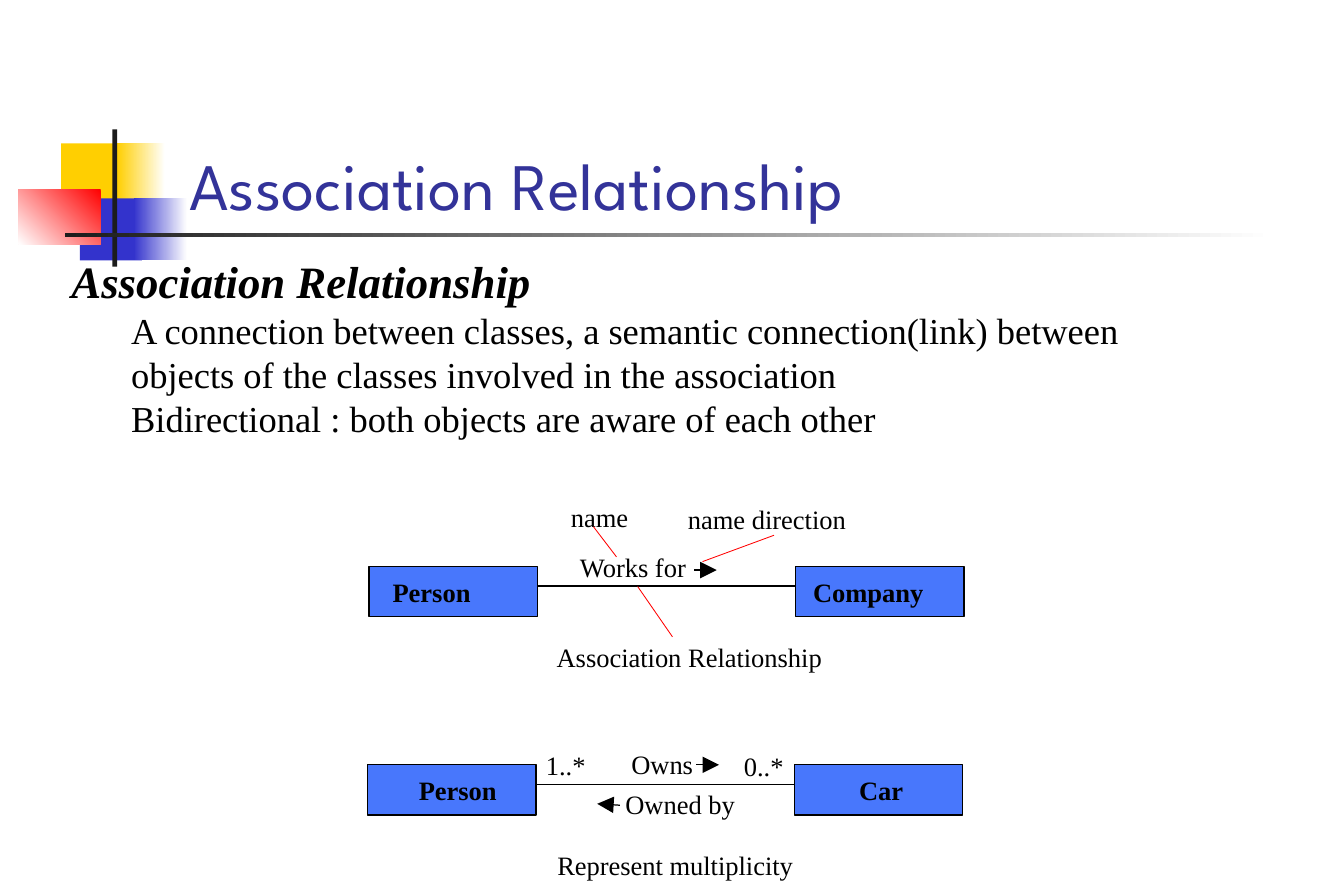
"""Build the association relationship slide with its two class diagrams."""
import pptx
import pptx.dml.color
import pptx.enum.shapes
import pptx.enum.text
import pptx.oxml
import pptx.oxml.ns
import pptx.util
from dataclasses import dataclass

Cm = pptx.util.Cm
Pt = pptx.util.Pt
ALIGN = pptx.enum.text.PP_ALIGN
ANCHOR = pptx.enum.text.MSO_ANCHOR


@dataclass(frozen=True)
class Theme:
    heading_font: str = "League Spartan"
    body_font: str = "Times New Roman"
    title_size: int = 40
    lead_size: int = 27
    body_size: int = 22
    label_size: int = 16
    title: str = "333399"
    ink: str = "000000"
    class_fill: str = "4877FC"
    pointer: str = "FF0000"
    yellow: str = "FFCF01"
    blue: str = "3333CC"
    red: str = "FF0000"
    dark: str = "1C1C1C"
    white: str = "FFFFFF"


THEME = Theme()
TITLE = "Association Relationship"
LEAD = "Association Relationship"
POINTS = [
    "A connection between classes, a semantic connection(link) between "
    "objects of the classes involved in the association",
    "Bidirectional : both objects are aware of each other",
]

# left, top, width, height, gradient or solid colours, angle
DECORATION = [
    (1.3, 3.05, 1.37, 1.32, [THEME.yellow], 0),
    (2.49, 3.05, 1.02, 1.32, [THEME.white, THEME.yellow], 180),
    (1.7, 4.22, 1.32, 1.32, [THEME.blue], 0),
    (2.84, 4.22, 1.14, 1.32, [THEME.white, THEME.blue], 180),
    (0.39, 4.02, 1.75, 1.17, [THEME.red, THEME.white], 225),
    (2.39, 2.75, 0.1, 2.92, [THEME.dark], 0),
    (1.39, 4.95, 25.7, 0.09, [THEME.white, THEME.dark], 180),
]

CLASS_SIZE = (3.58, 1.07)
CLASS_STEP = 9.07
LINK_DROP = 0.42
# left, top, alignment, (name, left inset) of each class
ASSOCIATIONS = [
    (7.85, 12.04, ALIGN.LEFT, [("Person", 0.5), ("Company", 0.37)]),
    (7.82, 16.26, ALIGN.CENTER, [("Person", 0.5), ("Car", 0.37)]),
]

LABEL_HEIGHT = 0.84
# text, centre, top, width, alignment
LABELS = [
    ("Works for", 13.46, 11.63, 3.1, ALIGN.CENTER),
    ("Association Relationship", 14.66, 13.54, 6.4, ALIGN.CENTER),
    ("name", 12.75, 10.57, 2, ALIGN.CENTER),
    ("name direction", 16.31, 10.62, 4.1, ALIGN.CENTER),
    ("Owns", 13.44, 15.82, 3.1, ALIGN.RIGHT),
    ("1..*", 12.03, 15.85, 1.6, ALIGN.CENTER),
    ("0..*", 16.24, 15.87, 1.6, ALIGN.CENTER),
    ("Owned by", 14.33, 16.67, 3.1, ALIGN.RIGHT),
    ("Represent multiplicity", 14.36, 17.96, 5.8, ALIGN.CENTER),
]
POINTERS = [
    (13.56, 12.47, 14.3, 13.54),
    (12.62, 11.2, 13.11, 11.84),
    (14.94, 11.94, 16.46, 11.38),
]
DIRECTIONS = [
    (14.76, 12.12, 15.24, 12.12),
    (14.81, 16.26, 15.29, 16.26),
    (13.18, 17.12, 12.7, 17.09),
]


def rgb(value):
    return pptx.dml.color.RGBColor.from_string(value)


def add_rectangle(page, place, colours, angle=0):
    box = page.shapes.add_shape(
        pptx.enum.shapes.MSO_SHAPE.RECTANGLE, *map(Cm, place))
    box.shadow.inherit = False
    box.line.fill.background()
    if len(colours) == 1:
        box.fill.solid()
        box.fill.fore_color.rgb = rgb(colours[0])
    else:
        box.fill.gradient()
        box.fill.gradient_angle = angle
        for stop, colour in zip(box.fill.gradient_stops, colours):
            stop.color.rgb = rgb(colour)
    return box


def add_line(page, ends, colour, width, arrow=False):
    line = page.shapes.add_connector(
        pptx.enum.shapes.MSO_CONNECTOR.STRAIGHT, *map(Cm, ends))
    line.line.color.rgb = rgb(colour)
    line.line.width = Pt(width)
    if arrow:
        head = pptx.oxml.parse_xml(
            f'<a:tailEnd {pptx.oxml.ns.nsdecls("a")} '
            'type="triangle" w="lg" len="lg"/>')
        line.line._get_or_add_ln().append(head)
    line._element.spPr.append(
        pptx.oxml.parse_xml(f'<a:effectLst {pptx.oxml.ns.nsdecls("a")}/>'))


def add_text(para, text, size, colour=THEME.ink, font=THEME.body_font,
             bold=False, italic=False):
    span = para.add_run()
    span.text = text
    span.font.name = font
    span.font.size = Pt(size)
    span.font.bold = bold
    span.font.italic = italic
    span.font.color.rgb = rgb(colour)


def set_frame(box, anchor, wrap):
    frame = box.text_frame
    frame.word_wrap = wrap
    frame.vertical_anchor = anchor
    return frame


def add_box(page, place, anchor, wrap=True):
    return set_frame(page.shapes.add_textbox(*map(Cm, place)), anchor, wrap)


def add_body(page):
    frame = add_box(page, (1.27, 5.28, 25, 4.3), ANCHOR.TOP)
    add_text(frame.paragraphs[0], LEAD, THEME.lead_size, bold=True, italic=True)
    for point in POINTS:
        para = frame.add_paragraph()
        properties = para._p.get_or_add_pPr()
        properties.set("marL", str(Cm(1.27)))
        properties.set("indent", "0")
        add_text(para, point, THEME.body_size)


def add_association(page, left, top, align, classes):
    width, height = CLASS_SIZE
    for column, (name, inset) in enumerate(classes):
        place = (left + column * CLASS_STEP, top, width, height)
        box = add_rectangle(page, place, [THEME.class_fill])
        box.line.color.rgb = rgb(THEME.ink)
        box.line.width = Pt(0.75)
        frame = set_frame(box, ANCHOR.MIDDLE, False)
        frame.margin_left = Cm(inset)
        para = frame.paragraphs[0]
        para.alignment = align
        add_text(para, name, THEME.label_size, bold=True)
    level = top + LINK_DROP
    add_line(page, (left + width, level, left + CLASS_STEP, level),
             THEME.ink, 0.75)


def main():
    deck = pptx.Presentation()
    deck.slide_width, deck.slide_height = Cm(28.58), Cm(19.05)
    page = deck.slides.add_slide(deck.slide_layouts[6])
    for *place, colours, angle in DECORATION:
        add_rectangle(page, place, colours, angle)
    add_body(page)
    for association in ASSOCIATIONS:
        add_association(page, *association)
    for text, centre, top, width, align in LABELS:
        place = (centre - width / 2, top, width, LABEL_HEIGHT)
        para = add_box(page, place, ANCHOR.MIDDLE, wrap=False).paragraphs[0]
        para.alignment = align
        add_text(para, text, THEME.label_size)
    for ends in POINTERS:
        add_line(page, ends, THEME.pointer, 0.5)
    for ends in DIRECTIONS:
        add_line(page, ends, THEME.ink, 0.75, arrow=True)
    title = add_box(page, (3.78, 1.7, 23.11, 3.18), ANCHOR.BOTTOM).paragraphs[0]
    title.line_spacing = 1.04
    add_text(title, TITLE, THEME.title_size, THEME.title, THEME.heading_font)
    deck.save("out.pptx")


if __name__ == "__main__":
    main()
